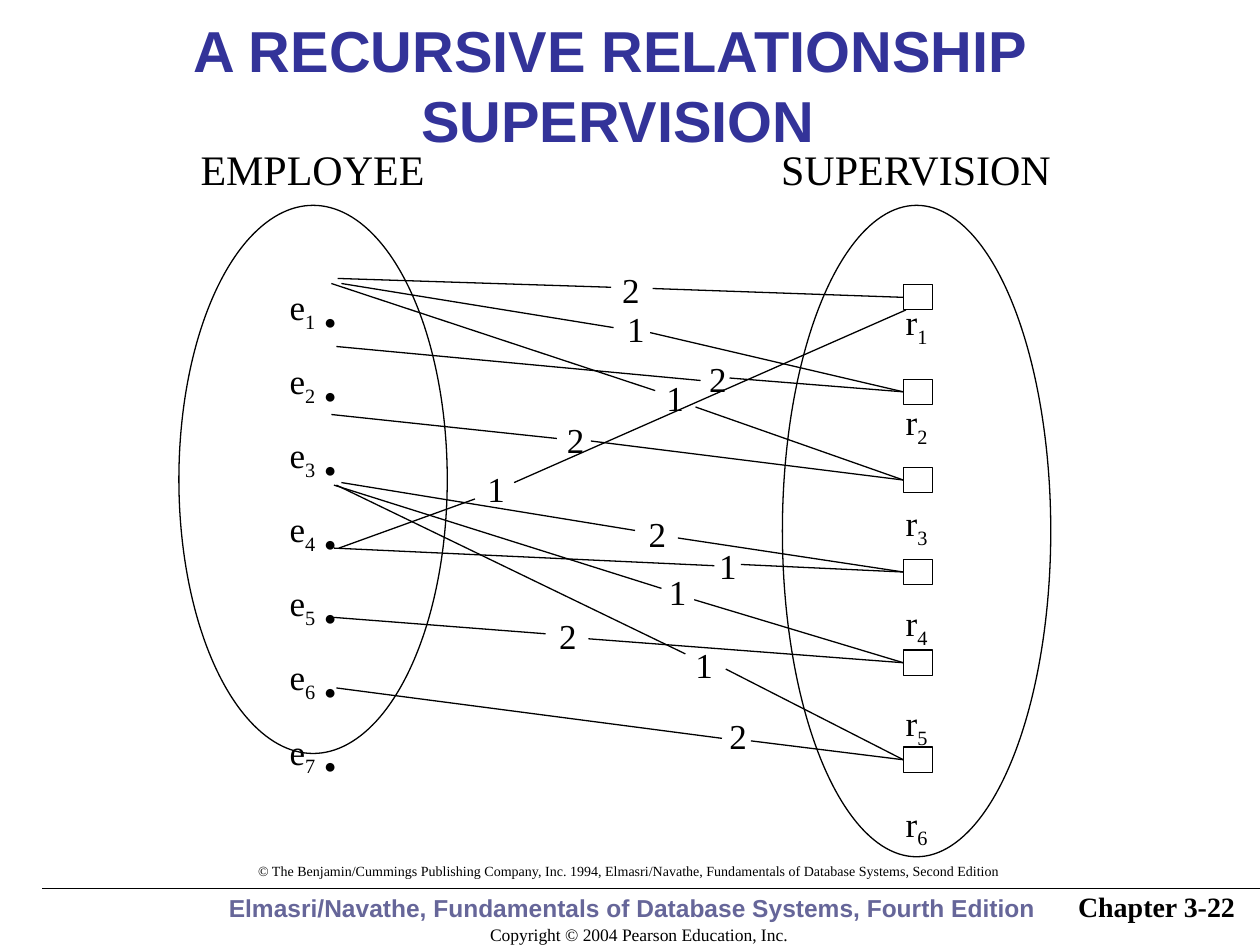
from pptx import Presentation
from pptx.dml.color import RGBColor
from pptx.enum.shapes import MSO_CONNECTOR as Conn, MSO_SHAPE as Shape
from pptx.enum.text import MSO_ANCHOR as Anchor, PP_ALIGN as Align
from pptx.oxml.ns import qn
from pptx.util import Inches, Pt
from lxml.etree import SubElement

BLACK = RGBColor(0x00, 0x00, 0x00)
WHITE = RGBColor(0xFF, 0xFF, 0xFF)
NAVY = RGBColor(0x33, 0x33, 0x99)
SLATE = RGBColor(0x66, 0x66, 0x99)
SERIF, SANS = "Times New Roman", "Arial"

# The slide is a grid of 10 columns by 7.5 rows.
WIDE, HIGH = Inches(10), Inches(7.5)
COLS, ROWS = 10, 7.5
BOX_LEFT, BOX_W, BOX_H = 7.17, 0.23, 0.2
BOX_TOPS = (2.26, 3.01, 3.71, 4.44, 5.16, 5.93)

# start, cut before the role, role, corner of the role, restart, index of the box
LINKS = (
    ((2.68, 2.21), (4.85, 2.28), "2", (4.84, 2.08), (5.18, 2.29), 0),
    ((2.71, 2.25), (4.87, 2.60), "1", (4.88, 2.39), (5.16, 2.64), 1),
    ((2.63, 2.25), (5.20, 3.10), "1", (5.19, 2.94), (5.52, 3.23), 2),
    ((2.67, 2.75), (5.56, 3.02), "2", (5.53, 2.79), (5.79, 3.00), 1),
    ((2.63, 3.29), (4.42, 3.48), "2", (4.40, 3.27), (4.69, 3.50), 2),
    ((2.71, 3.83), (5.04, 4.21), "2", (5.05, 4.02), (5.38, 4.27), 3),
    ((2.65, 3.85), (5.25, 4.67), "1", (5.21, 4.48), (5.51, 4.76), 4),
    ((2.67, 3.85), (5.44, 5.19), "1", (5.42, 5.06), (5.76, 5.31), 5),
    ((2.69, 4.35), (3.77, 3.96), "1", (3.77, 3.66), (4.08, 3.83), None),
    ((2.65, 4.35), (5.67, 4.49), "1", (5.61, 4.27), (5.88, 4.48), 3),
    ((2.65, 4.90), (4.33, 5.03), "2", (4.34, 4.83), (4.67, 5.07), 4),
    ((2.67, 5.46), (5.73, 5.86), "2", (5.69, 5.62), (5.96, 5.88), 5),
)


def col(n):
    return round(WIDE * n / COLS)


def row(n):
    return round(HIGH * n / ROWS)


def place(x, y, w, h):
    return col(x), row(y), col(w), row(h)


def style(run, size, font=SERIF, color=BLACK, bold=False, sub=False):
    face = run.font
    face.size, face.name, face.bold = Pt(size), font, bold
    face.color.rgb = color
    if sub:
        run._r.get_or_add_rPr().set("baseline", "-25000")


def text(slide, words, at, size=20, align=Align.LEFT, anchor=Anchor.TOP,
         wrap=False, top=0.05, **look):
    frame = slide.shapes.add_textbox(*place(*at)).text_frame
    frame.word_wrap, frame.vertical_anchor = wrap, anchor
    frame.margin_top = row(top)
    para = frame.paragraphs[0]
    para.alignment = align
    for i, part in enumerate(words.split("\n")):
        if i:
            para.add_line_break()
        run = para.add_run()
        run.text = part
        style(run, size, **look)


def outline(slide, kind, at):
    shape = slide.shapes.add_shape(kind, *place(*at))
    shape.shadow.inherit = False
    shape.fill.background()
    shape.line.color.rgb, shape.line.width = BLACK, Pt(0.75)
    return shape


def entity(slide, at, letter, count, gap, foot, dot=False):
    """Draw an oval that lists its numbered members."""
    frame = outline(slide, Shape.OVAL, at).text_frame
    frame.word_wrap, frame.vertical_anchor = False, Anchor.TOP
    frame.margin_top, frame.margin_bottom = 0, row(foot)
    for n in range(1, count + 1):
        para = frame.paragraphs[0] if n == 1 else frame.add_paragraph()
        para.alignment = Align.CENTER
        para.space_before, para.space_after = Pt(gap if n > 1 else 0), Pt(gap)
        parts = [(letter, SERIF, False), (str(n), SERIF, True)]
        if dot:
            parts += [(" ", SERIF, False), ("●", SANS, True)]
        for words, font, sub in parts:
            run = para.add_run()
            run.text = words
            style(run, 20, font=font, sub=sub)


def box(slide, top):
    shape = outline(slide, Shape.RECTANGLE, (BOX_LEFT, top, BOX_W, BOX_H))
    shape.fill.solid()
    shape.fill.fore_color.rgb = WHITE
    return shape


def line(slide, start, end):
    wire = slide.shapes.add_connector(
        Conn.STRAIGHT, col(start[0]), row(start[1]), col(end[0]), row(end[1]))
    wire.line.color.rgb, wire.line.width = BLACK, Pt(0.75)
    SubElement(wire._element.spPr, qn("a:effectLst"))
    return wire


def link(slide, boxes, start, cut, role, spot, resume, index):
    """Draw a line to a box, broken by its role; no index means the first box's corner."""
    line(slide, start, cut)
    text(slide, role, (*spot, 0.34, 0.44))
    wire = line(slide, resume, (BOX_LEFT + 0.02, BOX_TOPS[0] + BOX_H))
    if index is not None:
        wire.end_connect(boxes[index], 1)


def footer(slide):
    text(slide, "Copyright © 2004 Pearson Education, Inc.", (2.85, 7.05, 4.44, 0.5),
         size=10, align=Align.CENTER, anchor=Anchor.BOTTOM, wrap=True)
    text(slide, "Elmasri/Navathe, Fundamentals of Database Systems, Fourth Edition ",
         (0.9, 6.87, 8.29, 0.5), size=14, align=Align.CENTER, anchor=Anchor.BOTTOM,
         wrap=True, font=SANS, color=SLATE, bold=True)
    line(slide, (10, 7.05), (0.33, 7.05))
    text(slide, "Chapter 3-22", (7.82, 6.98, 2.08, 0.42), size=16, align=Align.RIGHT,
         anchor=Anchor.MIDDLE, wrap=True, bold=True)


def main():
    deck = Presentation()
    deck.slide_width, deck.slide_height = WIDE, HIGH
    slide = deck.slides.add_slide(deck.slide_layouts[6])

    footer(slide)
    text(slide, "A RECURSIVE RELATIONSHIP \nSUPERVISION", (0.08, 0.12, 9.65, 1.15),
         size=33, align=Align.CENTER, anchor=Anchor.MIDDLE, wrap=True, top=0,
         font=SANS, color=NAVY, bold=True)
    entity(slide, (1.42, 1.63, 2.13, 4.35), "e", 7, gap=7.5, foot=2, dot=True)
    text(slide, "EMPLOYEE", (1.49, 1.09, 1.98, 0.5), size=24, align=Align.CENTER)
    entity(slide, (6.21, 1.63, 2.13, 5.17), "r", 6, gap=15, foot=3.5)
    text(slide, "SUPERVISION", (6.09, 1.09, 2.36, 0.5), size=24, align=Align.CENTER)

    boxes = [box(slide, top) for top in BOX_TOPS]
    for parts in LINKS:
        link(slide, boxes, *parts)
    text(slide, "© The Benjamin/Cummings Publishing Company, Inc. 1994, Elmasri/Navathe, "
         "Fundamentals of Database Systems, Second Edition", (1.95, 6.8, 6.1, 0.24), size=8)
    deck.save("out.pptx")


if __name__ == "__main__":
    main()
